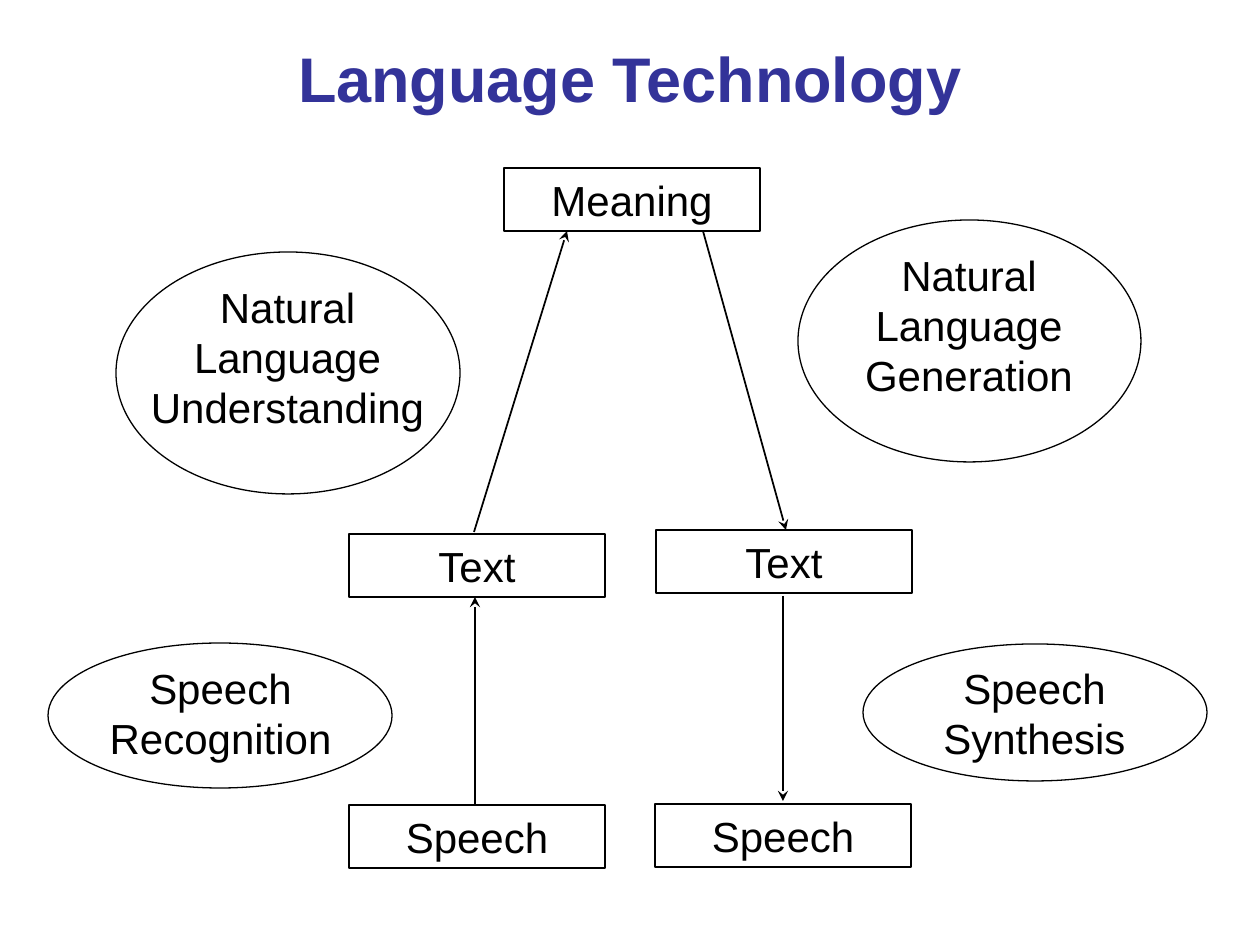
import dataclasses

import pptx
import pptx.dml.color
import pptx.enum.shapes
import pptx.enum.text
import pptx.oxml.ns
import pptx.util
from lxml import etree

EMU_PER_PX = 914400 / 126


@dataclasses.dataclass(frozen=True)
class Theme:
    font: str = "Arial"
    title_color: str = "333399"
    ink: str = "000000"
    title_size: int = 36
    body_size: int = 24
    thin: float = 0.75
    thick: float = 1


THEME = Theme()


def px(*lengths):
    return [pptx.util.Emu(round(length * EMU_PER_PX)) for length in lengths]


def rgb(color):
    return pptx.dml.color.RGBColor.from_string(color)


def write_text(shape, text, size=THEME.body_size, color=THEME.ink, bold=False,
               anchor=pptx.enum.text.MSO_ANCHOR.TOP):
    frame = shape.text_frame
    frame.word_wrap = True
    frame.vertical_anchor = anchor
    paragraph = frame.paragraphs[0]
    paragraph.alignment = pptx.enum.text.PP_ALIGN.CENTER
    run = paragraph.add_run()
    run.text = text
    run.font.name = THEME.font
    run.font.size = pptx.util.Pt(size)
    run.font.bold = bold
    run.font.color.rgb = rgb(color)


def add_outline(shapes, kind, box):
    shape = shapes.add_shape(kind, *px(*box))
    shape.shadow.inherit = False
    shape.fill.background()
    shape.line.color.rgb = rgb(THEME.ink)
    shape.line.width = pptx.util.Pt(THEME.thin)
    return shape


def add_title(slide, text):
    title = slide.shapes.add_textbox(*px(63, 38, 1134, 78))
    write_text(title, text, THEME.title_size, THEME.title_color, True,
               pptx.enum.text.MSO_ANCHOR.MIDDLE)


def add_level(slide, text, left, top):
    shape = add_outline(slide.shapes, pptx.enum.shapes.MSO_SHAPE.RECTANGLE,
                        (left, top, 256, 63))
    write_text(shape, text)


def add_process(slide, text, ellipse_box, text_box):
    group = slide.shapes.add_group_shape()
    add_outline(group.shapes, pptx.enum.shapes.MSO_SHAPE.OVAL, ellipse_box)
    write_text(group.shapes.add_textbox(*px(*text_box)), text)


def add_arrow(slide, start, end, width):
    arrow = slide.shapes.add_connector(
        pptx.enum.shapes.MSO_CONNECTOR.STRAIGHT, *px(*start, *end))
    arrow.line.color.rgb = rgb(THEME.ink)
    arrow.line.width = pptx.util.Pt(width)
    qualified = pptx.oxml.ns.qn
    line = arrow.line._get_or_add_ln()
    etree.SubElement(line, qualified("a:tailEnd"), type="stealth")
    etree.SubElement(arrow._element.spPr, qualified("a:effectLst"))


def main():
    presentation = pptx.Presentation()
    presentation.slide_width, presentation.slide_height = px(1260, 945)
    slide = presentation.slides.add_slide(presentation.slide_layouts[6])

    add_title(slide, "Language Technology")

    for start, end, width in (
        ((474, 532), (567, 231), THEME.thick),
        ((703, 231), (786, 530), THEME.thick),
        ((475, 804), (475, 597), THEME.thin),
        ((783, 596), (783, 801), THEME.thin),
    ):
        add_arrow(slide, start, end, width)

    for text, left, top in (
        ("Meaning", 504, 168),
        ("Text", 349, 534),
        ("Text", 656, 530),
        ("Speech", 349, 805),
        ("Speech", 655, 804),
    ):
        add_level(slide, text, left, top)

    for text, ellipse_box, text_box in (
        ("Natural Language Understanding", (116, 252, 344, 242), (125, 275, 325, 164)),
        ("Natural Language Generation", (798, 220, 343, 242), (804, 243, 330, 164)),
        ("Speech Recognition", (48, 643, 344, 145), (87, 656, 267, 113)),
        ("Speech Synthesis", (863, 644, 344, 137), (901, 656, 267, 113)),
    ):
        add_process(slide, text, ellipse_box, text_box)

    presentation.save("out.pptx")


if __name__ == "__main__":
    main()
